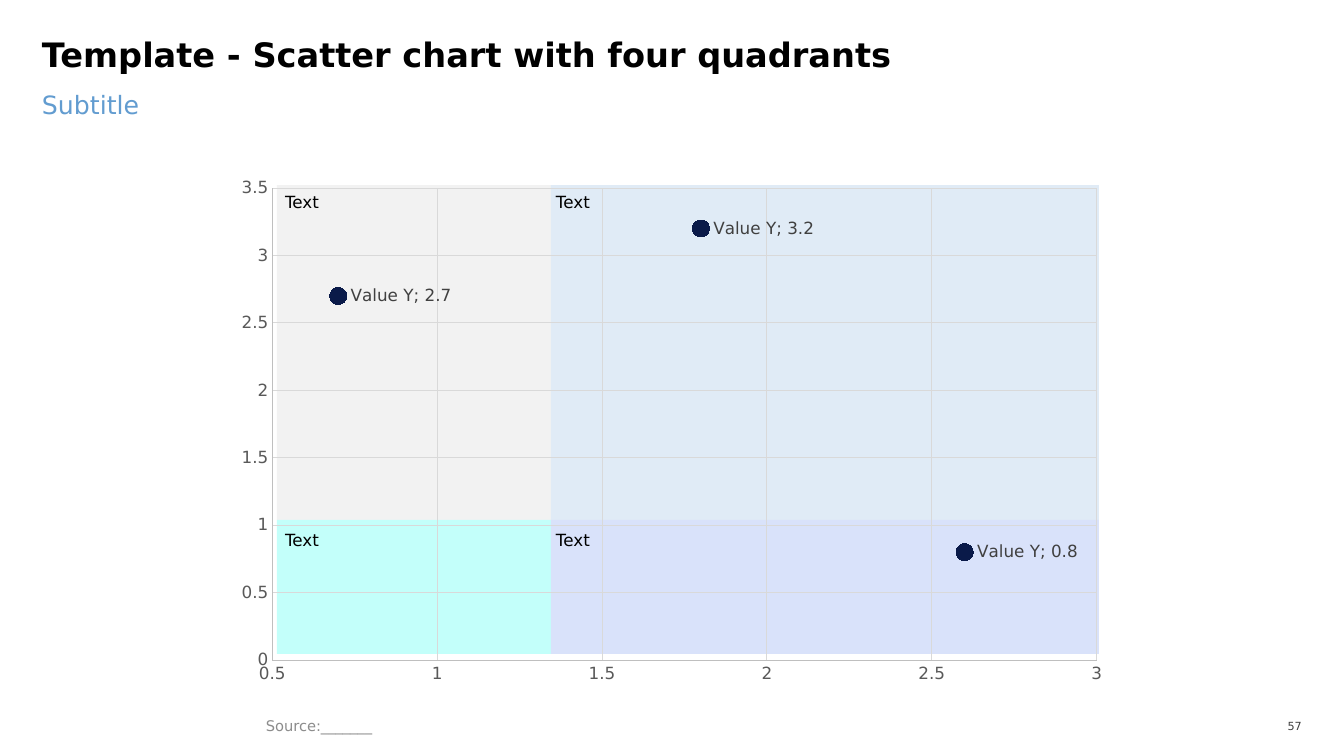
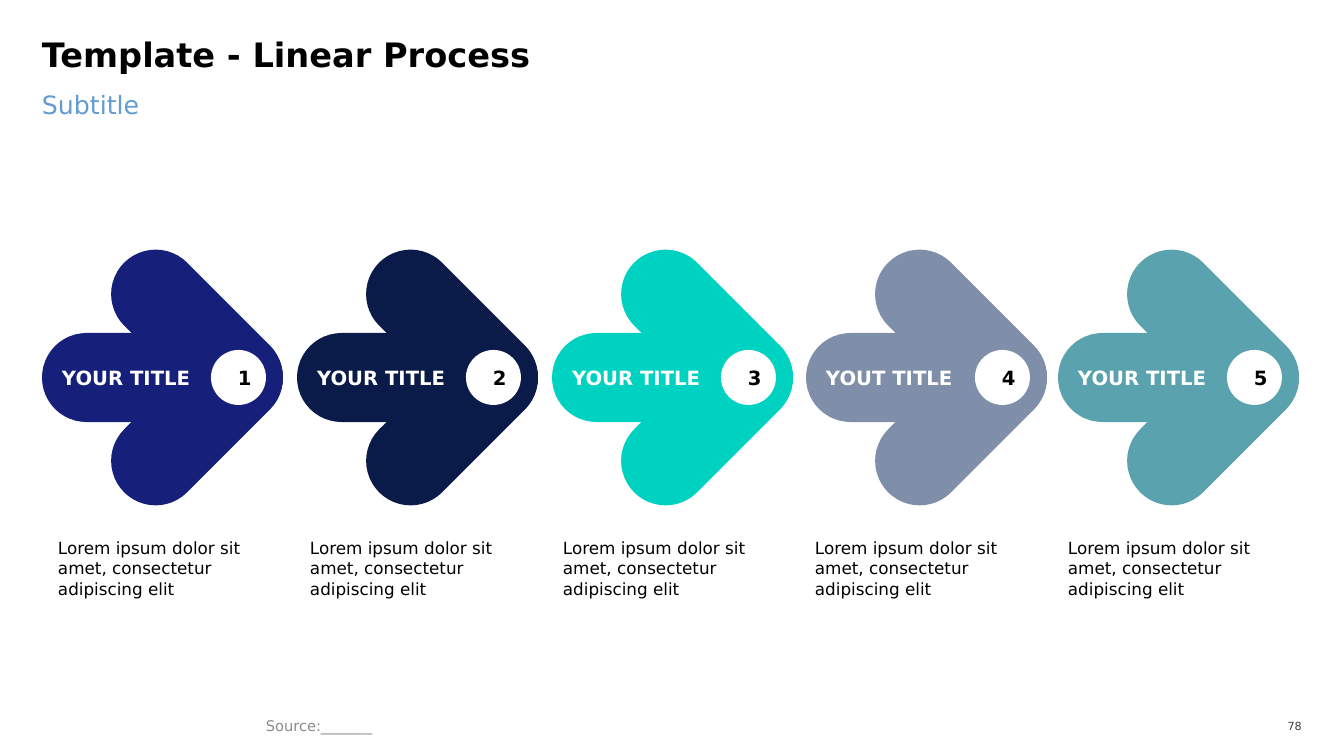
from dataclasses import dataclass

from pptx import Presentation, oxml
from pptx import util as u
from pptx.chart import data
from pptx.dml import color
from pptx.enum import chart as ch, shapes, text
from pptx.oxml import ns

FONT = "DejaVu Sans"
BLACK, WHITE, NAVY = "000000", "FFFFFF", "0A1A49"
SUBTITLE, SOURCE, PAGE = "629CD0", "8C8C8C", "404040"
AXIS, GRID, TICK = "BFBFBF", "D9D9D9", "595959"
PX_PER_INCH = 100.8
ARROW_TOP, ARROW_THICK = 333, 89
BAR_WIDTH, WING_LENGTH = 241, 206
LOREM = "Lorem ipsum dolor sit amet, consectetur adipiscing elit"


@dataclass(frozen=True)
class Box:
    left: int
    top: int
    width: int
    height: int


@dataclass(frozen=True)
class Style:
    size: float
    color: str = BLACK
    bold: bool = False
    align: text.PP_ALIGN = text.PP_ALIGN.LEFT
    anchor: text.MSO_ANCHOR = text.MSO_ANCHOR.TOP
    insets: tuple[int, int] = (0, 0)
    spacing: float = 1.0


@dataclass(frozen=True)
class Quadrant:
    area: Box
    fill: str
    label: Box


@dataclass(frozen=True)
class Step:
    left: int
    fill: str
    title: str


MIDDLE = text.MSO_ANCHOR.MIDDLE
TITLE_STYLE = Style(24, bold=True, spacing=0.8)
SUBTITLE_STYLE = Style(18, SUBTITLE)
SOURCE_STYLE = Style(10.5, SOURCE, anchor=MIDDLE, insets=(10, 5))
PAGE_STYLE = Style(8, PAGE, align=text.PP_ALIGN.RIGHT, anchor=MIDDLE)
LABEL_STYLE = Style(12, anchor=MIDDLE)
CAPTION_STYLE = Style(12)
STEP_STYLE = Style(14, WHITE, True, anchor=MIDDLE, insets=(20, 10))
NUMBER_STYLE = Style(14, BLACK, True, text.PP_ALIGN.CENTER, MIDDLE, (20, 10))

QUADRANTS = [
    Quadrant(Box(277, 185, 274, 335), "F2F2F2", Box(285, 192, 148, 20)),
    Quadrant(Box(551, 185, 548, 335), "E0EBF6", Box(556, 192, 148, 20)),
    Quadrant(Box(277, 520, 274, 134), "C3FFFA", Box(285, 530, 148, 20)),
    Quadrant(Box(551, 520, 548, 134), "D9E2FA", Box(556, 530, 148, 20)),
]
POINTS = [(0.7, 2.7), (1.8, 3.2), (2.6, 0.8)]
STEPS = [
    Step(42, "16207B", "YOUR TITLE"),
    Step(297, NAVY, "YOUR TITLE"),
    Step(552, "00D2C2", "YOUR TITLE"),
    Step(806, "7F8FA9", "YOUT TITLE"),
    Step(1058, "5AA2AE", "YOUR TITLE"),
]


def px(length: int) -> u.Emu:
    return u.Emu(round(length * u.Inches(1) / PX_PER_INCH))


def rgb(value: str) -> color.RGBColor:
    return color.RGBColor.from_string(value)


def bounds(box: Box) -> tuple[u.Emu, ...]:
    return px(box.left), px(box.top), px(box.width), px(box.height)


def set_font(font, size: float, fill: str, bold: bool = False) -> None:
    font.name, font.size, font.bold = FONT, u.Pt(size), bold
    font.color.rgb = rgb(fill)


def write(shape, words: str, style: Style) -> None:
    frame = shape.text_frame
    frame.word_wrap = True
    frame.auto_size = text.MSO_AUTO_SIZE.NONE
    frame.vertical_anchor = style.anchor
    frame.margin_left = frame.margin_right = px(style.insets[0])
    frame.margin_top = frame.margin_bottom = px(style.insets[1])
    paragraph = frame.paragraphs[0]
    paragraph.text = words
    paragraph.alignment = style.align
    paragraph.line_spacing = style.spacing
    set_font(paragraph.font, style.size, style.color, style.bold)


def add_text(slide, box: Box, words: str, style: Style) -> None:
    write(slide.shapes.add_textbox(*bounds(box)), words, style)


def add_filled(parent, kind: shapes.MSO_SHAPE, box: Box, fill: str):
    shape = parent.shapes.add_shape(kind, *bounds(box))
    shape.shadow.inherit = False
    shape.fill.solid()
    shape.fill.fore_color.rgb = rgb(fill)
    shape.line.fill.background()
    return shape


def add_slide(deck, title: str, page: str):
    slide = deck.slides.add_slide(deck.slide_layouts[5])
    heading = slide.shapes.title
    heading.left, heading.top, heading.width, heading.height = bounds(
        Box(42, 42, 1259, 53))
    write(heading, title, TITLE_STYLE)
    add_text(slide, Box(42, 89, 1259, 63), "Subtitle", SUBTITLE_STYLE)
    add_text(slide, Box(256, 713, 644, 26), "Source:_______", SOURCE_STYLE)
    add_text(slide, Box(1260, 715, 42, 23), page, PAGE_STYLE)
    return slide


def format_axis(axis, low: float, high: float) -> None:
    axis.minimum_scale, axis.maximum_scale, axis.major_unit = low, high, 0.5
    axis.major_tick_mark = axis.minor_tick_mark = ch.XL_TICK_MARK.NONE
    axis.has_major_gridlines = True
    for line, stroke in ((axis.format.line, AXIS),
                         (axis.major_gridlines.format.line, GRID)):
        line.color.rgb = rgb(stroke)
        line.width = u.Pt(0.75)
    axis.tick_labels.number_format = "General"
    axis.tick_labels.number_format_is_linked = False
    set_font(axis.tick_labels.font, 12, TICK)


def chart_xml(tag: str, body: str):
    return oxml.parse_xml(
        f"<c:{tag} {ns.nsdecls('c', 'a')}>{body}</c:{tag}>")


def add_point_labels(series) -> None:
    flags = "".join(
        f'<c:show{name} val="{int(name in ("Val", "SerName"))}"/>'
        for name in ("LegendKey", "Val", "CatName", "SerName", "Percent",
                     "BubbleSize"))
    labels = chart_xml("dLbls", (
        "<c:spPr><a:noFill/><a:ln><a:noFill/></a:ln></c:spPr>"
        "<c:txPr><a:bodyPr/><a:p><a:pPr><a:defRPr sz=\"1200\" b=\"0\">"
        "<a:solidFill><a:srgbClr val=\"404040\"/></a:solidFill>"
        f'<a:latin typeface="{FONT}"/></a:defRPr></a:pPr>'
        '<a:endParaRPr lang="en-US"/></a:p></c:txPr>'
        f'<c:dLblPos val="r"/>{flags}<c:separator>; </c:separator>'))
    series._element.find(ns.qn("c:xVal")).addprevious(labels)


def fix_plot_area(chart) -> None:
    plot_area = chart._chartSpace.chart.plotArea
    for layout in plot_area.findall(ns.qn("c:layout")):
        plot_area.remove(layout)
    edges = "".join(f'<c:{side}Mode val="edge"/>' for side in "xy")
    sizes = "".join(
        f'<c:{side} val="{share}"/>' for side, share in
        (("x", 0.054), ("y", 0.04), ("w", 0.92), ("h", 0.894)))
    plot_area.insert(0, chart_xml("layout", (
        '<c:manualLayout><c:layoutTarget val="inner"/>'
        f"{edges}{sizes}</c:manualLayout>")))
    clear = "<a:noFill/><a:ln><a:noFill/></a:ln>"
    plot_area.append(chart_xml("spPr", clear))
    chart._chartSpace.chart.addnext(chart_xml("spPr", clear))


def add_scatter(slide, box: Box) -> None:
    values = data.XyChartData()
    value_series = values.add_series("Value Y")
    for x, y in POINTS:
        value_series.add_data_point(x, y)
    chart = slide.shapes.add_chart(
        ch.XL_CHART_TYPE.XY_SCATTER, *bounds(box), values).chart
    chart.has_title = chart.has_legend = False
    set_font(chart.font, 10, BLACK)
    format_axis(chart.category_axis, 0.5, 3)
    format_axis(chart.value_axis, 0, 3.5)
    plot = chart.plots[0]
    plot.vary_by_categories = False
    series = plot.series[0]
    series.format.line.fill.background()
    marker = series.marker
    marker.style, marker.size = ch.XL_MARKER_STYLE.CIRCLE, 12
    marker.format.fill.solid()
    marker.format.fill.fore_color.rgb = rgb(NAVY)
    marker.format.line.color.rgb = rgb(NAVY)
    add_point_labels(series)
    fix_plot_area(chart)


def add_arrow(slide, step: Step, number: int) -> None:
    arrow = slide.shapes.add_group_shape()
    bar = Box(step.left, ARROW_TOP, BAR_WIDTH, ARROW_THICK)
    wing_left = step.left + 52
    parts = [
        (Box(wing_left, ARROW_TOP + 42, WING_LENGTH, ARROW_THICK), -45),
        (Box(wing_left, ARROW_TOP - 42, WING_LENGTH, ARROW_THICK), 45),
        (bar, 0),
    ]
    for box, angle in parts:
        part = add_filled(
            arrow, shapes.MSO_SHAPE.ROUNDED_RECTANGLE, box, step.fill)
        part.adjustments[0] = 0.5
        part.rotation = angle
    write(part, step.title, STEP_STYLE)
    part.text_frame.margin_left = px(7)
    part.text_frame.margin_right = 0
    badge = add_filled(slide, shapes.MSO_SHAPE.OVAL,
                       Box(step.left + 169, 350, 55, 55), WHITE)
    write(badge, str(number), NUMBER_STYLE)


def build_scatter_slide(deck) -> None:
    slide = add_slide(deck, "Template - Scatter chart with four quadrants", "57")
    for quadrant in QUADRANTS:
        add_filled(slide, shapes.MSO_SHAPE.RECTANGLE, quadrant.area, quadrant.fill)
    add_scatter(slide, Box(224, 167, 896, 528))
    for quadrant in QUADRANTS:
        add_text(slide, quadrant.label, "Text", LABEL_STYLE)


def build_process_slide(deck) -> None:
    slide = add_slide(deck, "Template - Linear Process", "78")
    for index, step in enumerate(STEPS):
        add_arrow(slide, step, index + 1)
        caption_left = 58 + index * 1010 // 4
        add_text(slide, Box(caption_left, 538, 200, 61), LOREM, CAPTION_STYLE)


def main() -> None:
    deck = Presentation()
    deck.slide_width, deck.slide_height = px(1344), px(756)
    build_scatter_slide(deck)
    build_process_slide(deck)
    deck.save("out.pptx")


if __name__ == "__main__":
    main()
